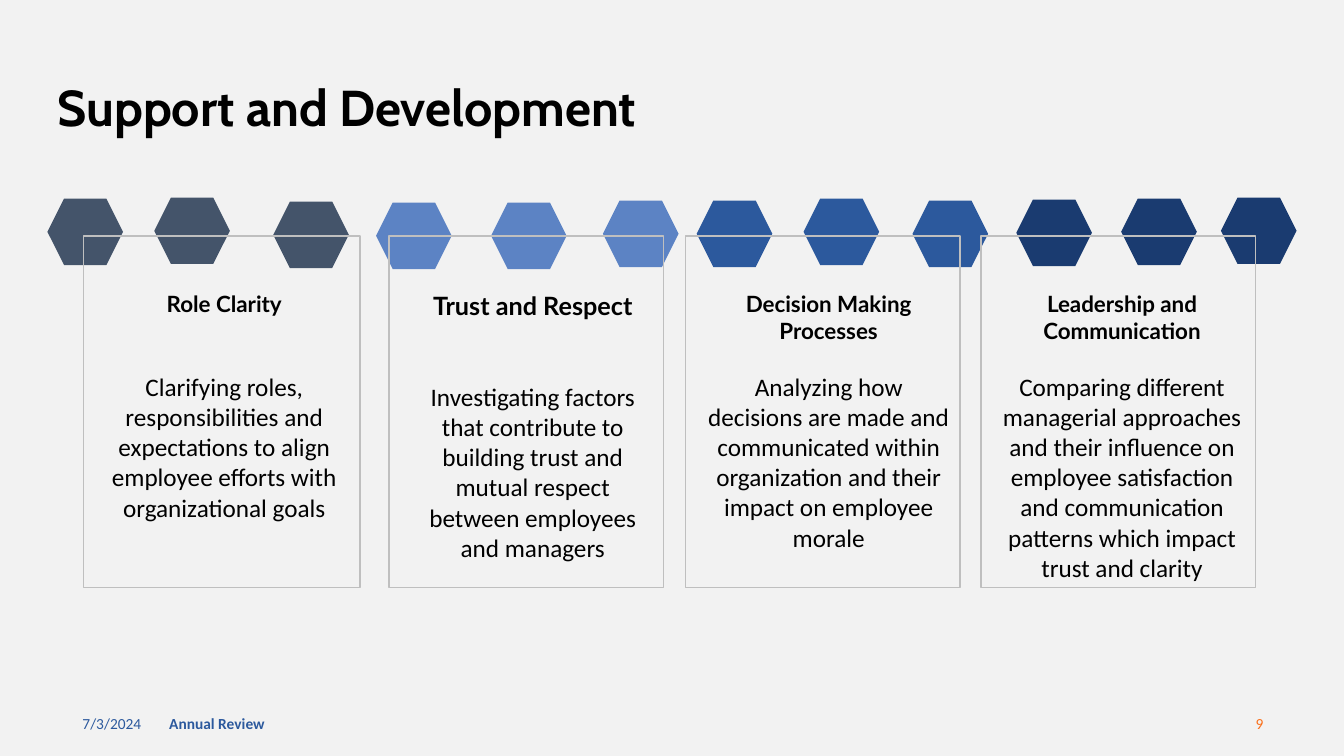
from dataclasses import dataclass

from pptx import Presentation
from pptx.dml.color import RGBColor
from pptx.enum.shapes import MSO_SHAPE
from pptx.enum.text import MSO_ANCHOR, MSO_AUTO_SIZE, PP_ALIGN
from pptx.util import Inches, Pt

HEXAGON, RECTANGLE = MSO_SHAPE.HEXAGON, MSO_SHAPE.RECTANGLE
LEFT, CENTER, RIGHT = PP_ALIGN.LEFT, PP_ALIGN.CENTER, PP_ALIGN.RIGHT
MIDDLE, TOP = MSO_ANCHOR.MIDDLE, MSO_ANCHOR.TOP
NO_AUTOFIT = MSO_AUTO_SIZE.NONE

BACKGROUND = RGBColor(0xF2, 0xF2, 0xF2)
BLACK = RGBColor(0x00, 0x00, 0x00)
FRAME_GRAY = RGBColor(0xBF, 0xBF, 0xBF)
SLATE = RGBColor(0x44, 0x54, 0x6A)
LIGHT_BLUE = RGBColor(0x5C, 0x83, 0xC4)
BLUE = RGBColor(0x2C, 0x59, 0x9D)
NAVY = RGBColor(0x1A, 0x3B, 0x70)
ORANGE = RGBColor(0xFA, 0x6F, 0x1A)

HEXAGON_WIDTH, HEXAGON_HEIGHT = 0.75, 0.66
FRAME_TOP, FRAME_HEIGHT = 2.34, 3.49
TEXT_TOP, TEXT_HEIGHT = 2.83, 2.85
FOOTER_TOP, FOOTER_HEIGHT = 6.98, 0.4


@dataclass
class Topic:
    heading: str
    body: str
    color: RGBColor
    hexagons: list[tuple[float, float]]  # left, top
    frame: tuple[float, float]  # left, width
    text: tuple[float, float]  # left, width
    heading_size: int = 16
    body_gap: float = 19.2


@dataclass
class FooterItem:
    text: str
    left: float
    width: float
    color: RGBColor
    bold: bool = False
    alignment: PP_ALIGN = LEFT


TOPICS = [
    Topic("Role Clarity",
          "Clarifying roles, responsibilities and expectations to align "
          "employee efforts with organizational goals",
          SLATE, [(0.47, 1.97), (1.53, 1.96), (2.71, 2.0)],
          (0.83, 2.74), (0.97, 2.41), body_gap=38.4),
    Topic("Trust and Respect",
          "Investigating factors that contribute to building trust and "
          "mutual respect between employees and managers",
          LIGHT_BLUE, [(3.73, 2.01), (4.87, 2.01), (5.98, 1.99)],
          (3.86, 2.72), (4.0, 2.47), heading_size=18, body_gap=43.2),
    Topic("Decision Making Processes",
          "Analyzing how decisions are made and communicated within "
          "organization and their impact on employee morale",
          BLUE, [(6.91, 1.99), (7.97, 1.97), (9.05, 1.99)],
          (6.8, 2.72), (6.91, 2.52)),
    Topic("Leadership and Communication",
          "Comparing different managerial approaches and their influence on "
          "employee satisfaction and communication patterns which impact "
          "trust and clarity",
          NAVY, [(10.08, 1.98), (11.12, 1.97), (12.11, 1.96)],
          (9.73, 2.72), (9.8, 2.56)),
]

FOOTER = [
    FooterItem("7/3/2024", 0.72, 3, BLUE),
    FooterItem("Annual Review", 1.58, 4.5, BLUE, bold=True),
    FooterItem("9", 9.63, 3, ORANGE, alignment=RIGHT),
]


def set_attributes(target, values: dict) -> None:
    for name, value in values.items():
        setattr(target, name, value)


def place(shape, left: float, top: float, width: float, height: float) -> None:
    set_attributes(shape, {"left": Inches(left), "top": Inches(top),
                           "width": Inches(width), "height": Inches(height)})


def write(paragraph, text: str, font: str, size: int, color: RGBColor,
          bold: bool = False, alignment: PP_ALIGN = LEFT) -> None:
    paragraph.alignment = alignment
    run = paragraph.add_run()
    run.text = text
    set_attributes(run.font, {"name": font, "size": Pt(size), "bold": bold})
    run.font.color.rgb = color


def add_text_frame(slide, left: float, top: float, width: float,
                   height: float, anchor: MSO_ANCHOR):
    box = slide.shapes.add_textbox(Inches(left), Inches(top),
                                   Inches(width), Inches(height))
    set_attributes(box.text_frame, {"word_wrap": True, "auto_size": NO_AUTOFIT,
                                    "vertical_anchor": anchor})
    return box.text_frame


def add_hexagon(slide, left: float, top: float, color: RGBColor) -> None:
    shape = slide.shapes.add_shape(HEXAGON, Inches(left), Inches(top),
                                   Inches(HEXAGON_WIDTH), Inches(HEXAGON_HEIGHT))
    shape.shadow.inherit = False
    shape.fill.solid()
    shape.fill.fore_color.rgb = color
    shape.line.fill.background()


def add_card(slide, topic: Topic) -> None:
    left, width = topic.frame
    frame = slide.shapes.add_shape(RECTANGLE, Inches(left), Inches(FRAME_TOP),
                                   Inches(width), Inches(FRAME_HEIGHT))
    frame.shadow.inherit = False
    frame.fill.background()
    frame.line.color.rgb = FRAME_GRAY
    frame.line.width = Pt(1)

    left, width = topic.text
    text_frame = add_text_frame(slide, left, TEXT_TOP, width, TEXT_HEIGHT, TOP)
    text_frame.margin_right = 0
    write(text_frame.paragraphs[0], topic.heading, "Lato",
          topic.heading_size, BLACK, True, CENTER)
    body = text_frame.add_paragraph()
    body.space_before = Pt(topic.body_gap)
    write(body, topic.body, "Calibri", 18, BLACK, False, CENTER)


def add_footer_item(slide, item: FooterItem) -> None:
    text_frame = add_text_frame(slide, item.left, FOOTER_TOP, item.width,
                                FOOTER_HEIGHT, MIDDLE)
    write(text_frame.paragraphs[0], item.text, "Calibri", 11, item.color,
          item.bold, item.alignment)


def main() -> None:
    presentation = Presentation()
    presentation.slide_width = Inches(13.33)
    presentation.slide_height = Inches(7.5)
    slide = presentation.slides.add_slide(presentation.slide_layouts[5])
    slide.background.fill.solid()
    slide.background.fill.fore_color.rgb = BACKGROUND

    # Title
    title = slide.shapes.title
    place(title, 0.47, 0.71, 12.4, 0.77)
    set_attributes(title.text_frame, {"word_wrap": True, "auto_size": NO_AUTOFIT,
                                      "vertical_anchor": MIDDLE})
    paragraph = title.text_frame.paragraphs[0]
    paragraph.line_spacing = 0.9
    write(paragraph, "Support and Development", "Cabin", 36, BLACK, True)

    # Hexagon band, with the cards in front
    for topic in TOPICS:
        for left, top in topic.hexagons:
            add_hexagon(slide, left, top, topic.color)
    for topic in TOPICS:
        add_card(slide, topic)

    # Footer
    for item in FOOTER:
        add_footer_item(slide, item)

    presentation.save("out.pptx")


if __name__ == "__main__":
    main()
